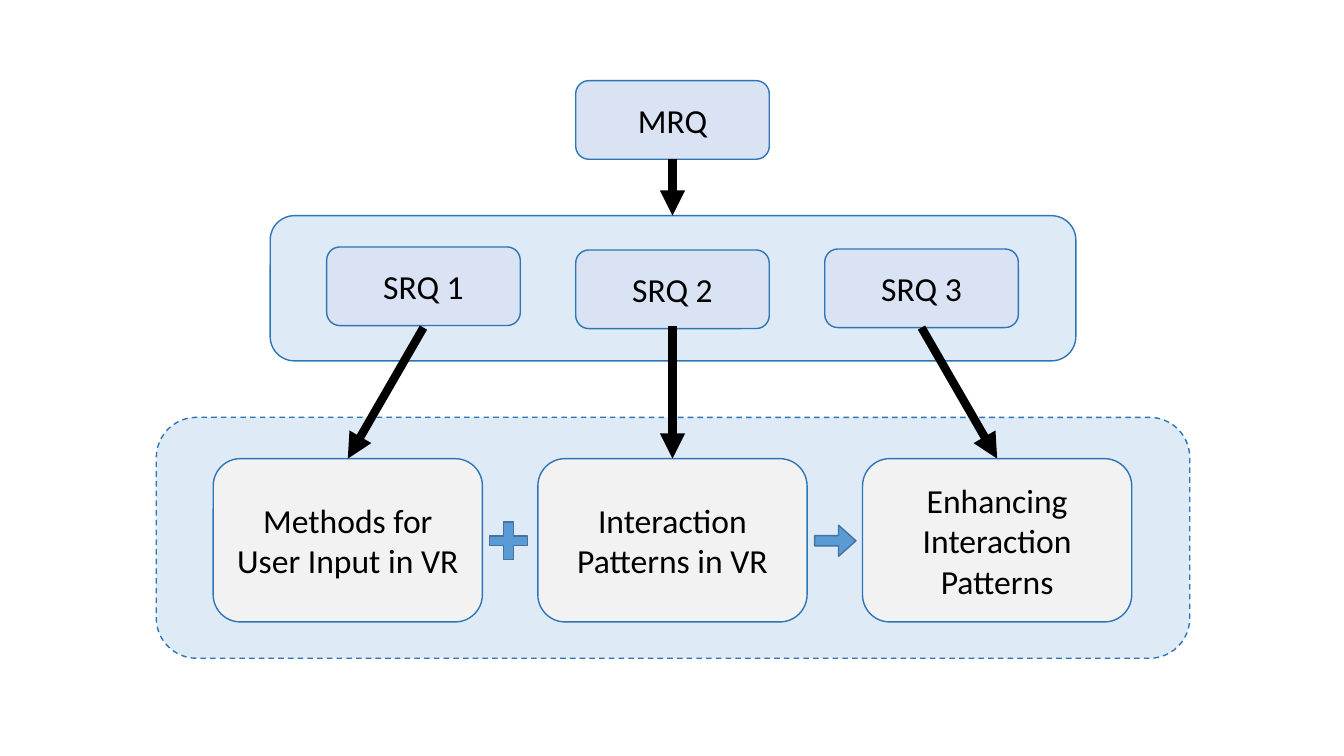
from dataclasses import dataclass

from lxml.etree import SubElement
from pptx import Presentation
from pptx.dml.color import RGBColor
from pptx.enum.dml import MSO_LINE_DASH_STYLE as Dash
from pptx.enum.shapes import MSO_CONNECTOR as Connector
from pptx.enum.shapes import MSO_SHAPE as Preset
from pptx.enum.text import MSO_ANCHOR as Anchor
from pptx.enum.text import PP_ALIGN as Align
from pptx.oxml.ns import qn
from pptx.slide import Slide
from pptx.util import Inches, Pt


@dataclass(frozen=True)
class Theme:
    """Colours, type and line weights of the diagram."""
    question: str = "DAE3F3"
    group: str = "DEEBF7"
    topic: str = "F2F2F2"
    outline: str = "2E75B6"
    symbol: str = "5B9BD5"
    symbol_outline: str = "43739E"
    ink: str = "000000"
    font: str = "Calibri"
    text_size: float = 24
    outline_width: float = 1
    arrow_width: float = 6


@dataclass(frozen=True)
class Block:
    """One filled shape, in inches."""
    left: float
    top: float
    width: float
    height: float
    fill: str
    text: str = ""
    preset: Preset = Preset.ROUNDED_RECTANGLE
    outline: str = Theme.outline
    dashed: bool = False
    adjustments: tuple[float, ...] = ()


@dataclass(frozen=True)
class Arrow:
    """A straight arrow between two points, in inches."""
    start_x: float
    start_y: float
    end_x: float
    end_y: float


THEME = Theme()
CENTER = 6.67
QUESTION_STEP, QUESTION_WIDTH, QUESTION_HEIGHT = 2.47, 1.92, 0.78
TOPIC_STEP, TOPIC_WIDTH, TOPIC_HEIGHT, TOPIC_TOP = 3.22, 2.67, 1.62, 4.55
QUESTION_TOPS = (2.45, 2.48, 2.47)
ARROW_TOPS = (3.25, 3.23, 3.25)
TOPICS = ("Methods for User Input in VR", "Interaction Patterns in VR",
          "Enhancing Interaction Patterns")


def question_block(center: float, top: float, text: str) -> Block:
    """Describe a research question centred on a column."""
    return Block(center - QUESTION_WIDTH / 2, top, QUESTION_WIDTH,
                 QUESTION_HEIGHT, THEME.question, text)


def topic_block(center: float, text: str) -> Block:
    """Describe a research topic centred on a column."""
    return Block(center - TOPIC_WIDTH / 2, TOPIC_TOP, TOPIC_WIDTH,
                 TOPIC_HEIGHT, THEME.topic, text)


def draw_block(page: Slide, block: Block) -> None:
    """Draw a block with its centred label."""
    box = page.shapes.add_shape(
        block.preset, Inches(block.left), Inches(block.top),
        Inches(block.width), Inches(block.height))
    box.shadow.inherit = False
    for index, value in enumerate(block.adjustments):
        box.adjustments[index] = value
    box.fill.solid()
    box.fill.fore_color.rgb = RGBColor.from_string(block.fill)
    box.line.color.rgb = RGBColor.from_string(block.outline)
    box.line.width = Pt(THEME.outline_width)
    if block.dashed:
        box.line.dash_style = Dash.DASH
    if block.text:
        frame = box.text_frame
        frame.word_wrap = True
        frame.vertical_anchor = Anchor.MIDDLE
        para = frame.paragraphs[0]
        para.alignment = Align.CENTER
        span = para.add_run()
        span.text = block.text
        span.font.name = THEME.font
        span.font.size = Pt(THEME.text_size)
        span.font.color.rgb = RGBColor.from_string(THEME.ink)


def draw_arrow(page: Slide, arrow: Arrow) -> None:
    """Draw a thick line with a triangular head at its end."""
    line = page.shapes.add_connector(
        Connector.STRAIGHT, Inches(arrow.start_x), Inches(arrow.start_y),
        Inches(arrow.end_x), Inches(arrow.end_y))
    line.line.color.rgb = RGBColor.from_string(THEME.ink)
    line.line.width = Pt(THEME.arrow_width)
    SubElement(line.line._get_or_add_ln(), qn("a:tailEnd"), type="triangle")
    SubElement(line._element.spPr, qn("a:effectLst"))


def main() -> None:
    """Build the research question diagram."""
    deck = Presentation()
    deck.slide_width, deck.slide_height = Inches(13.33), Inches(7.5)
    page = deck.slides.add_slide(deck.slide_layouts[6])

    question_centers = [CENTER + QUESTION_STEP * side for side in (-1, 0, 1)]
    topic_centers = [CENTER + TOPIC_STEP * side for side in (-1, 0, 1)]
    questions = [question_block(center, top, f"SRQ {number}")
                 for number, (center, top)
                 in enumerate(zip(question_centers, QUESTION_TOPS), 1)]
    topics = [topic_block(center, text)
              for center, text in zip(topic_centers, TOPICS)]
    blocks = [
        question_block(CENTER, 0.8, "MRQ"),
        Block(2.68, 2.14, 7.99, 1.44, THEME.group),
        *questions,
        Block(1.55, 4.14, 10.25, 2.39, THEME.group, dashed=True),
        *topics,
    ]
    arrows = [
        Arrow(CENTER, 1.58, CENTER, 2.14),
        *(Arrow(start, top, end, TOPIC_TOP) for start, top, end
          in zip(question_centers, ARROW_TOPS, topic_centers)),
    ]
    symbols = [
        Block(4.79, 5.11, 0.51, 0.51, THEME.symbol, preset=Preset.MATH_PLUS,
              outline=THEME.symbol_outline, adjustments=(0.19,)),
        Block(8.08, 5.21, 0.41, 0.31, THEME.symbol, preset=Preset.RIGHT_ARROW,
              outline=THEME.symbol_outline, adjustments=(0.33, 0.56)),
    ]
    for block in blocks:
        draw_block(page, block)
    for arrow in arrows:
        draw_arrow(page, arrow)
    for symbol in symbols:
        draw_block(page, symbol)
    deck.save("out.pptx")


main()
